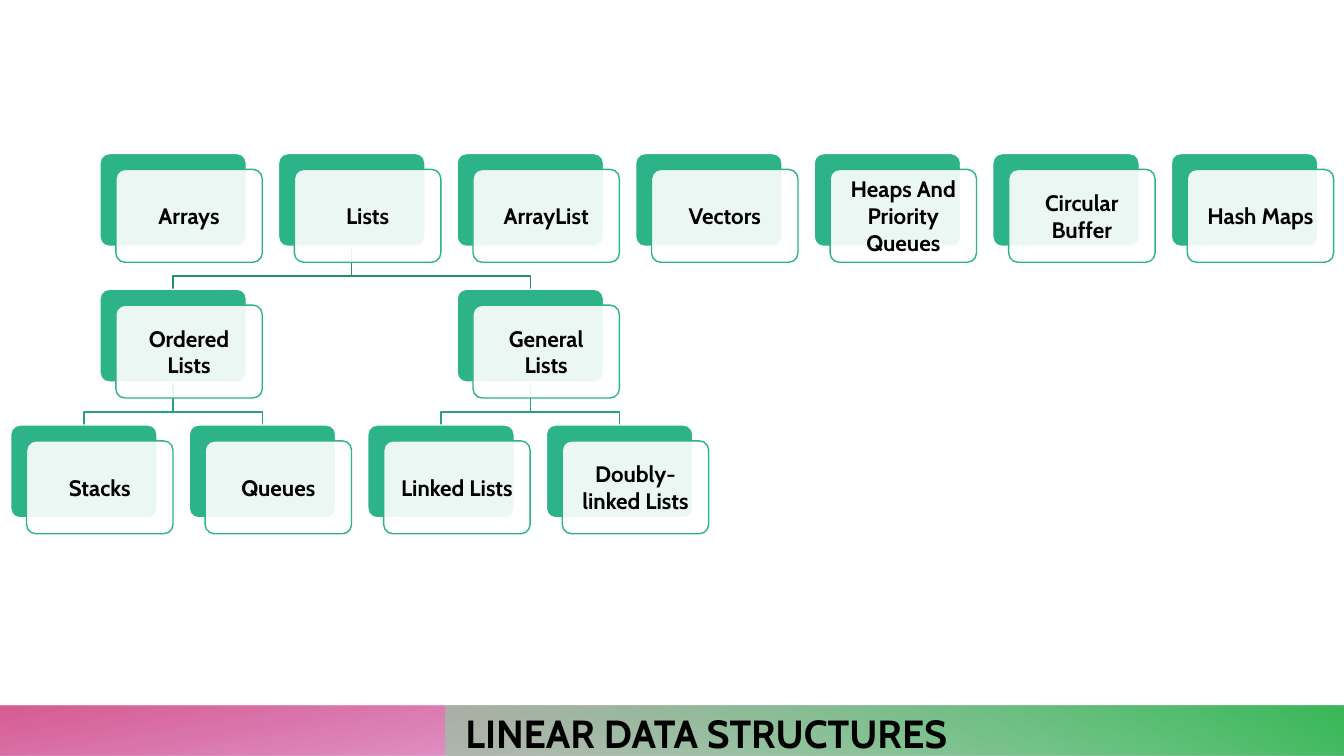
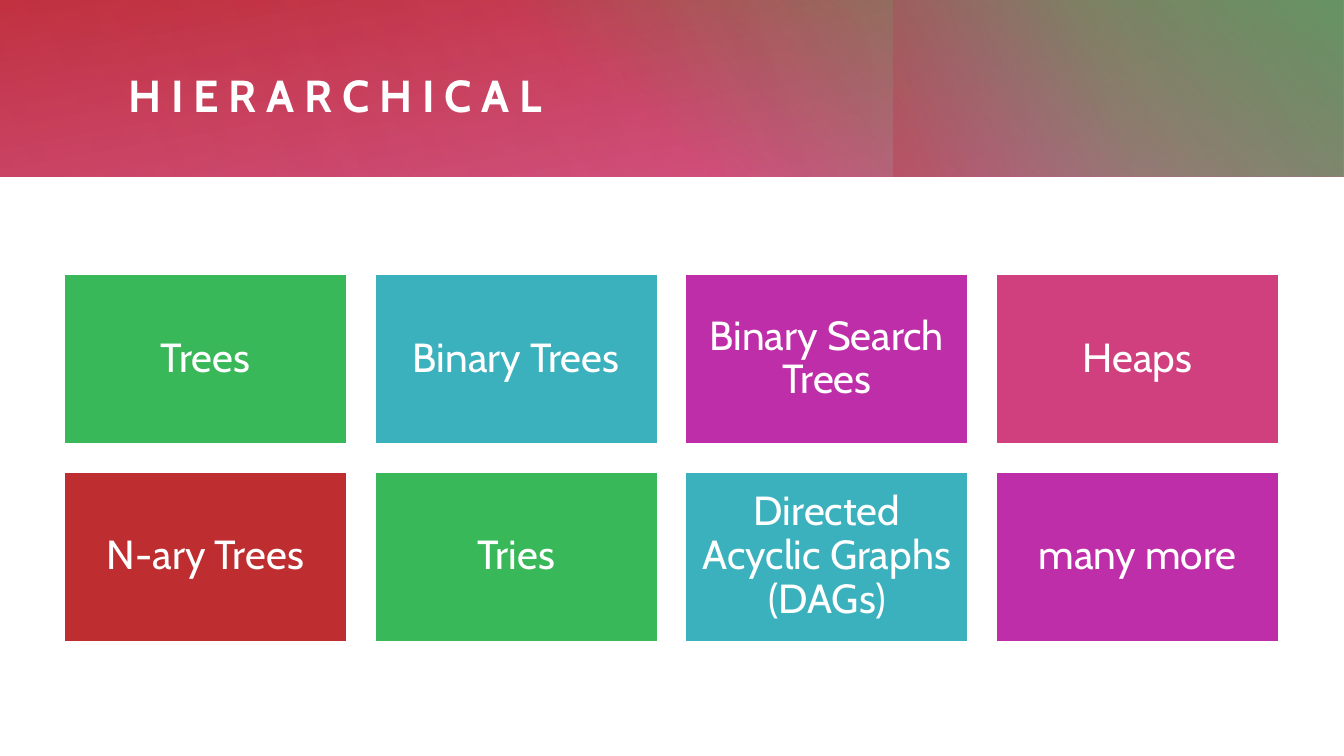
"""Build two slides on linear and hierarchical data structures."""
from dataclasses import dataclass

from lxml import etree
from pptx import Presentation
from pptx.dml.color import RGBColor
from pptx.enum.shapes import MSO_SHAPE
from pptx.enum.text import MSO_ANCHOR, MSO_AUTO_SIZE, PP_ALIGN
from pptx.oxml.ns import qn
from pptx.util import Cm, Pt

RECTANGLE, ROUNDED = MSO_SHAPE.RECTANGLE, MSO_SHAPE.ROUNDED_RECTANGLE
MIDDLE, BOTTOM = MSO_ANCHOR.MIDDLE, MSO_ANCHOR.BOTTOM
LEFT, CENTER = PP_ALIGN.LEFT, PP_ALIGN.CENTER
NO_AUTOFIT = MSO_AUTO_SIZE.NONE


@dataclass(frozen=True)
class Theme:
    font: str = "Cabin"
    white: RGBColor = RGBColor.from_string("FFFFFF")
    black: RGBColor = RGBColor.from_string("000000")
    green: RGBColor = RGBColor.from_string("39B859")
    light_green: RGBColor = RGBColor.from_string("84D999")
    teal: RGBColor = RGBColor.from_string("3AB1BD")
    purple: RGBColor = RGBColor.from_string("BE2EA9")
    pink: RGBColor = RGBColor.from_string("D0407E")
    red: RGBColor = RGBColor.from_string("BE2E31")
    card: RGBColor = RGBColor.from_string("2CB387")
    upper_branch: RGBColor = RGBColor.from_string("238F6C")
    lower_branch: RGBColor = RGBColor.from_string("28A27B")
    band_title_size: int = 28
    header_title_size: int = 32
    card_size: int = 16
    tile_size: int = 29


theme = Theme()


def add_gradient(page, position, angle, *stops):
    box = page.shapes.add_shape(RECTANGLE, *[Cm(length) for length in position])
    box.shadow.inherit = False
    box.line.fill.background()
    box.fill.gradient()
    box.fill.gradient_angle = 360 - angle
    for stop, (place, color, opacity) in zip(box.fill.gradient_stops, stops):
        stop.position = place / 100
        stop.color.rgb = color
    for node, (place, color, opacity) in zip(box._element.spPr.iter(qn("a:srgbClr")), stops):
        etree.SubElement(node, qn("a:alpha"), val=str(opacity * 1000))


def write(box, text, size, color, bold, align=CENTER, anchor=MIDDLE, inset=0.0, spacing=1.0):
    frame = box.text_frame
    frame.text = text
    frame.word_wrap = True
    frame.auto_size = NO_AUTOFIT
    frame.vertical_anchor = anchor
    frame.margin_left = frame.margin_right = Cm(inset)
    frame.margin_top = frame.margin_bottom = Cm(inset)
    para = frame.paragraphs[0]
    para.alignment = align
    para.line_spacing = spacing
    font = para.runs[0].font
    font.name, font.size, font.bold = theme.font, Pt(size), bold
    font.color.rgb = color


deck = Presentation()
deck.slide_width, deck.slide_height = Cm(33.87), Cm(19.05)
title_only = deck.slide_layouts[5]
linear = deck.slides.add_slide(title_only)
hierarchical = deck.slides.add_slide(title_only)

gradients = [
    (linear, (0, 17.78, 33.87, 1.27), 260, (14, theme.purple, 28), (100, theme.pink, 85)),
    (linear, (11.22, 17.78, 22.65, 1.27), 300, (9, theme.light_green, 55), (99, theme.green, 100)),
    (hierarchical, (0, 0, 33.87, 4.45), 260, (0, theme.pink, 83), (100, theme.red, 100)),
    (hierarchical, (12.22, 0, 21.65, 4.45), 310, (22, theme.green, 0), (99, theme.green, 100)),
    (hierarchical, (22.53, 0, 9.5, 4.45), 160, (45, theme.purple, 0), (99, theme.red, 33)),
    (hierarchical, (6.81, 0, 27.03, 4.45), 150, (0, theme.pink, 30), (99, theme.pink, 0)),
    (hierarchical, (0, 0, 21.97, 4.45), 340, (0, theme.pink, 21), (99, theme.pink, 0)),
]
for gradient in gradients:
    add_gradient(*gradient)

titles = [
    (linear, "LINEAR DATA STRUCTURES", (11.73, 17.81, 20.62, 1.24),
     theme.band_title_size, theme.black, BOTTOM, 0),
    (hierarchical, "HIERARCHICAL", (3.23, 1.04, 28.83, 2.69),
     theme.header_title_size, theme.white, MIDDLE, 7),
]
for page, text, position, size, color, anchor, tracking in titles:
    title = page.shapes.title
    title.left, title.top, title.width, title.height = [Cm(length) for length in position]
    write(title, text, size, color, True, LEFT, anchor)
    title.text_frame.paragraphs[0].runs[0].font._element.set("spc", str(tracking * 100))
    page.shapes._spTree.append(title._element)

card_width, card_height, card_offset = 3.69, 2.34, 0.4
tree_left, tree_top, column_step, row_step = 0.27, 3.87, 4.5, 3.42
bend_height = 0.33

branches = [
    (1.5, 0, 0.5), (1.5, 0, 2.5),
    (0.5, 1, 0), (0.5, 1, 1),
    (2.5, 1, 2), (2.5, 1, 3),
]
for parent_column, parent_row, child_column in branches:
    parent_x, child_x = [tree_left + column * column_step + card_width / 2
                         for column in (parent_column, child_column)]
    start_y = tree_top + parent_row * row_step + card_height
    end_y = tree_top + (parent_row + 1) * row_step
    bend_y = end_y - bend_height
    builder = linear.shapes.build_freeform(Cm(parent_x), Cm(start_y))
    corners = [(parent_x, bend_y), (child_x, bend_y), (child_x, end_y)]
    builder.add_line_segments([(Cm(x), Cm(y)) for x, y in corners], close=False)
    branch = builder.convert_to_shape()
    branch.shadow.inherit = False
    branch.fill.background()
    branch.line.color.rgb = theme.lower_branch if parent_row else theme.upper_branch
    branch.line.width = Pt(1)

rows = [
    [(0.5, "Arrays"), (1.5, "Lists"), (2.5, "ArrayList"), (3.5, "Vectors"),
     (4.5, "Heaps And Priority Queues"), (5.5, "Circular Buffer"), (6.5, "Hash Maps")],
    [(0.5, "Ordered Lists"), (2.5, "General Lists")],
    [(0, "Stacks"), (1, "Queues"), (2, "Linked Lists"), (3, "Doubly-linked Lists")],
]
layers = [(0, theme.card, theme.white), (card_offset, theme.white, theme.card)]
for row, cards in enumerate(rows):
    for column, label in cards:
        for offset, fill, outline in layers:
            card = linear.shapes.add_shape(
                ROUNDED, Cm(tree_left + column * column_step + offset),
                Cm(tree_top + row * row_step + offset), Cm(card_width), Cm(card_height))
            card.shadow.inherit = False
            card.adjustments[0] = 0.1
            card.fill.solid()
            card.fill.fore_color.rgb = fill
            card.line.color.rgb = outline
            card.line.width = Pt(1)
        front_color = card._element.spPr.find(qn("a:solidFill")).find(qn("a:srgbClr"))
        etree.SubElement(front_color, qn("a:alpha"), val="90000")
        write(card, label, theme.card_size, theme.black, True, inset=0.24)

tile_width, tile_height, tile_gap = 7.12, 4.27, 0.71
grid_left, grid_top, grid_columns = 1.62, 6.91, 4
tiles = [
    ("Trees", theme.green), ("Binary Trees", theme.teal),
    ("Binary Search Trees", theme.purple), ("Heaps", theme.pink),
    ("N-ary Trees", theme.red), ("Tries", theme.green),
    ("Directed Acyclic Graphs (DAGs)", theme.teal), ("many more", theme.purple),
]
for index, (label, color) in enumerate(tiles):
    row, column = divmod(index, grid_columns)
    tile = hierarchical.shapes.add_shape(
        RECTANGLE, Cm(grid_left + column * (tile_width + tile_gap)),
        Cm(grid_top + row * (tile_height + tile_gap)), Cm(tile_width), Cm(tile_height))
    tile.shadow.inherit = False
    tile.fill.solid()
    tile.fill.fore_color.rgb = color
    tile.line.color.rgb = theme.white
    tile.line.width = Pt(1)
    write(tile, label, theme.tile_size, theme.white, False, inset=0.3, spacing=0.9)

deck.save("out.pptx")
